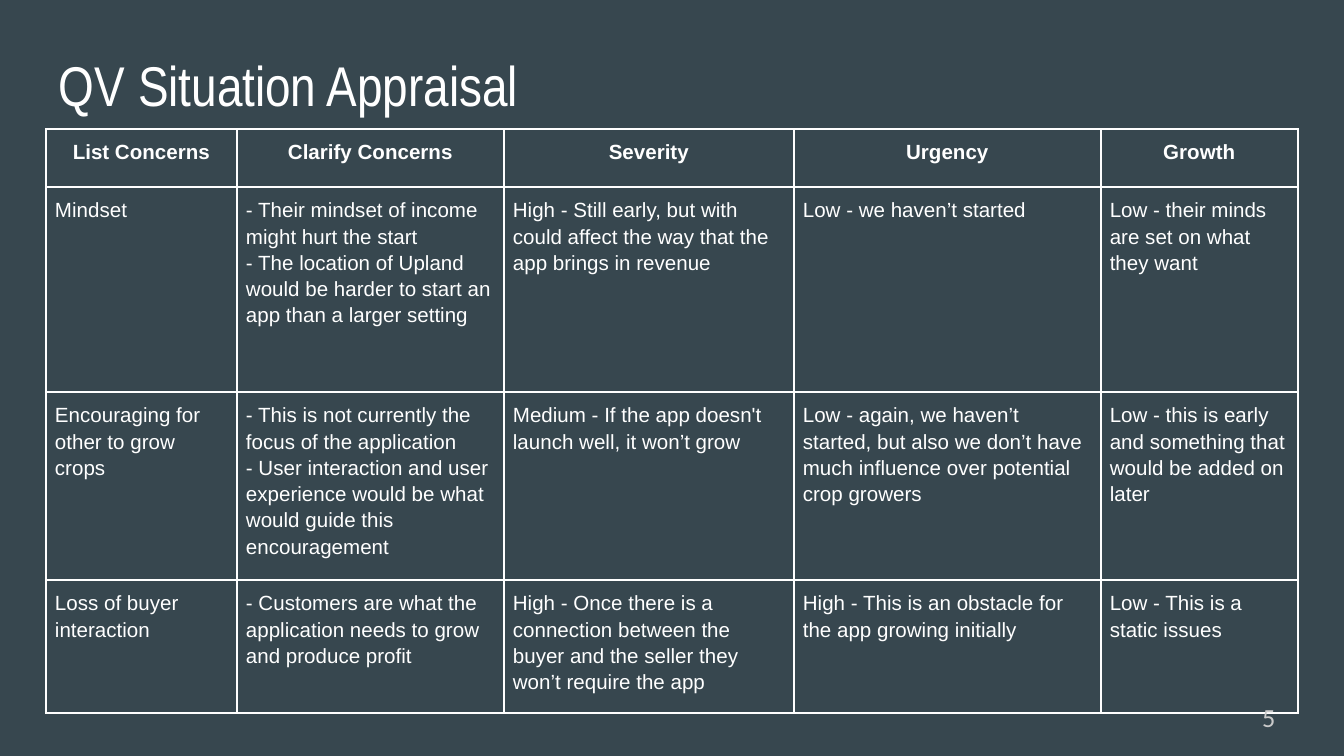
from pptx import Presentation
from pptx.dml.color import RGBColor
from pptx.enum.text import MSO_ANCHOR, PP_ALIGN
from pptx.oxml.ns import qn
from pptx.util import Emu, Pt
from lxml import etree

TOP, MIDDLE = MSO_ANCHOR.TOP, MSO_ANCHOR.MIDDLE
LEFT, CENTER = PP_ALIGN.LEFT, PP_ALIGN.CENTER
SLATE = RGBColor(0x37, 0x47, 0x4F)
WHITE = RGBColor(0xFF, 0xFF, 0xFF)
GREY = RGBColor(0xCA, 0xCA, 0xCA)
SCALE = 914400 / 134.4
COLS = [191, 267, 290, 307, 197]
ROWS = [58, 205, 188, 133]
CELLS = [
    ["List Concerns", "Clarify Concerns", "Severity", "Urgency", "Growth"],
    [
        "Mindset",
        "- Their mindset of income might hurt the start\n"
        "- The location of Upland would be harder to start an app than a larger setting",
        "High - Still early, but with could affect the way that the app brings in revenue",
        "Low - we haven’t started",
        "Low - their minds are set on what they want",
    ],
    [
        "Encouraging for other to grow crops",
        "- This is not currently the focus of the application\n"
        "- User interaction and user experience would be what would guide this encouragement",
        "Medium - If the app doesn't launch well, it won’t grow",
        "Low - again, we haven’t started, but also we don’t have much influence "
        "over potential crop growers",
        "Low - this is early and something that would be added on later",
    ],
    [
        "Loss of buyer interaction",
        "- Customers are what the application needs to grow and produce profit",
        "High - Once there is a connection between the buyer and the seller "
        "they won’t require the app",
        "High - This is an obstacle for the app growing initially",
        "Low - This is a static issues",
    ],
]


def px(n):
    """Turn pixels into EMU."""
    return Emu(round(n * SCALE))


def pad(item, n):
    """Set all four margins of a frame or cell."""
    item.margin_left = item.margin_right = px(n)
    item.margin_top = item.margin_bottom = px(n)


def write(frame, text, font, size, color, bold=False, align=LEFT, space=1.0):
    """Write one paragraph for each line of text."""
    for i, line in enumerate(text.split("\n")):
        para = frame.add_paragraph() if i else frame.paragraphs[0]
        para.alignment = align
        para.line_spacing = space
        run = para.add_run()
        run.text = line
        run.font.name = font
        run.font.size = Pt(size)
        run.font.bold = bold
        run.font.color.rgb = color


def label(slide, box, text, font, size, color, anchor):
    """Add a text box."""
    frame = slide.shapes.add_textbox(*map(px, box)).text_frame
    frame.word_wrap = True
    frame.vertical_anchor = anchor
    pad(frame, 13)
    write(frame, text, font, size, color)


def border(cell):
    """Draw a thin line on each side of a cell."""
    props = cell._tc.get_or_add_tcPr()
    for i, side in enumerate(("a:lnL", "a:lnR", "a:lnT", "a:lnB")):
        line = etree.Element(qn(side), w=str(Pt(1)))
        fill = etree.SubElement(line, qn("a:solidFill"))
        etree.SubElement(fill, qn("a:srgbClr"), val=str(WHITE))
        props.insert(i, line)


def grid(slide, left, top):
    """Add the table of concerns."""
    size = px(sum(COLS)), px(sum(ROWS))
    table = slide.shapes.add_table(
        len(ROWS), len(COLS), px(left), px(top), *size).table
    table.horz_banding = False
    for col, width in zip(table.columns, COLS):
        col.width = px(width)
    for r, (row, height) in enumerate(zip(table.rows, ROWS)):
        row.height = px(height)
        head = r == 0
        for cell, text in zip(row.cells, CELLS[r]):
            cell.fill.background()
            border(cell)
            pad(cell, 9)
            write(cell.text_frame, text, "Arial", 11, WHITE, head,
                  CENTER if head else LEFT, 1.15)


def main():
    """Build and save the slide."""
    deck = Presentation()
    deck.slide_width, deck.slide_height = px(1344), px(756)
    slide = deck.slides.add_slide(deck.slide_layouts[6])
    back = slide.background.fill
    back.solid()
    back.fore_color.rgb = SLATE
    label(slide, (46, 38, 1252, 84), "QV Situation Appraisal",
          "Arial Narrow", 30, WHITE, TOP)
    grid(slide, 46, 129)
    label(slide, (1249, 688, 81, 58), "5", "Calibri", 14, GREY, MIDDLE)
    deck.save("out.pptx")


if __name__ == "__main__":
    main()
